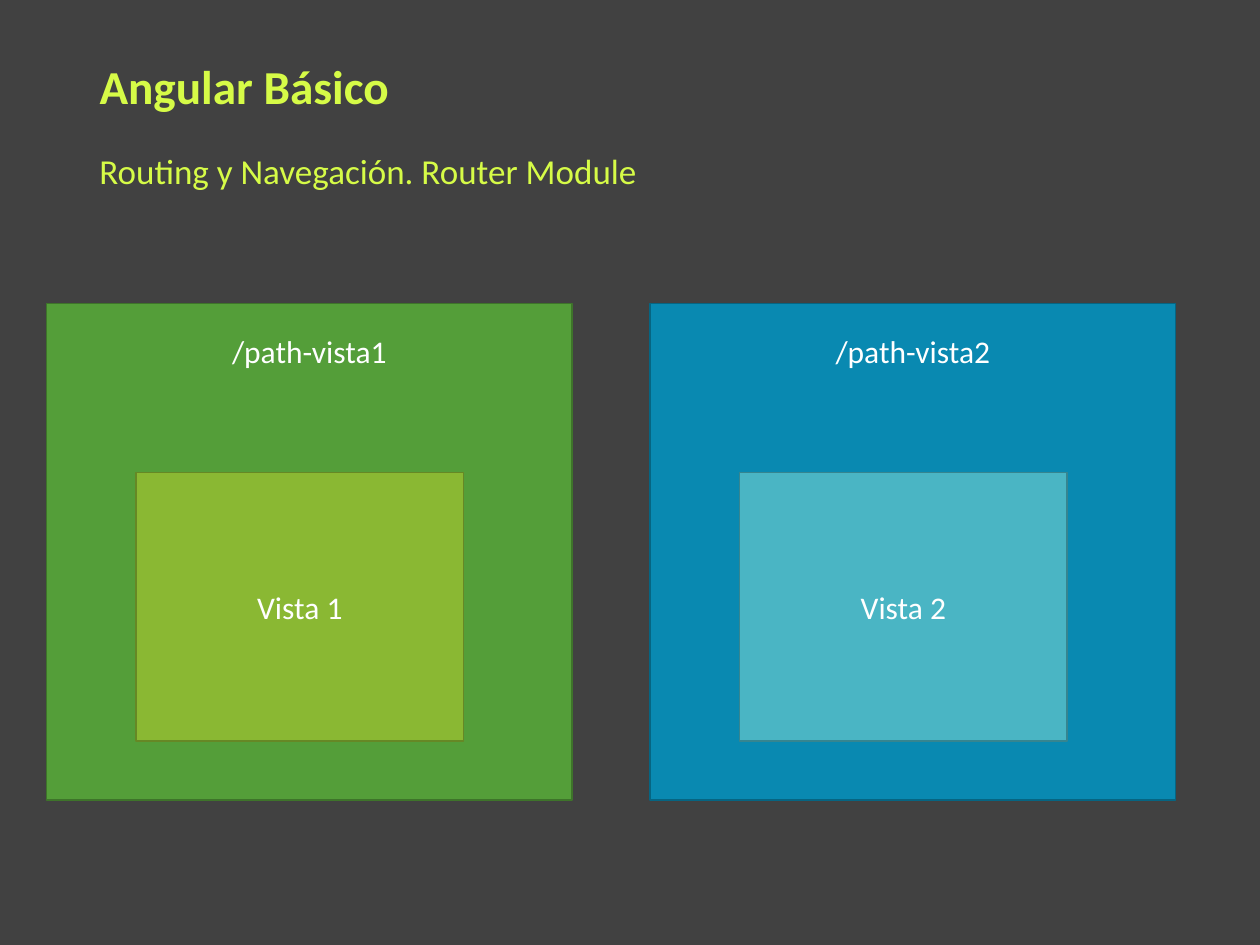
from pptx import Presentation
from pptx.dml.color import RGBColor
from pptx.enum.shapes import MSO_SHAPE
from pptx.enum.text import MSO_ANCHOR, MSO_AUTO_SIZE, PP_ALIGN
from pptx.util import Inches, Pt


def color(hex_value):
    return RGBColor.from_string(hex_value)


class SlideBuilder:
    FONT = "Calibri"
    BACKGROUND = "414141"
    ACCENT = "D6FB47"
    WHITE = "FFFFFF"

    def __init__(self, slide):
        self.slide = slide
        fill = slide.background.fill
        fill.solid()
        fill.fore_color.rgb = color(self.BACKGROUND)

    def set_text(self, shape, text, size, hex_value, align, bold=False, wrap=True):
        text_frame = shape.text_frame
        text_frame.text = text
        text_frame.word_wrap = wrap
        text_frame.auto_size = MSO_AUTO_SIZE.NONE
        text_frame.vertical_anchor = MSO_ANCHOR.MIDDLE
        paragraph = text_frame.paragraphs[0]
        paragraph.alignment = align
        font = paragraph.runs[0].font
        font.name = self.FONT
        font.size = Pt(size)
        font.bold = bold
        font.color.rgb = color(hex_value)
        return paragraph

    def title(self, text, left, top, width, height):
        title = self.slide.shapes.title
        title.left, title.top = Inches(left), Inches(top)
        title.width, title.height = Inches(width), Inches(height)
        self.set_text(title, text, 27, self.ACCENT, PP_ALIGN.LEFT, bold=True)

    def subtitle(self, text, left, top, width, height):
        box = self.slide.shapes.add_textbox(
            Inches(left), Inches(top), Inches(width), Inches(height))
        paragraph = self.set_text(box, text, 20, self.ACCENT, PP_ALIGN.LEFT)
        paragraph.space_before = Pt(7.5)

    def rectangle(self, group, left, top, width, height, fill, line):
        shape = group.shapes.add_shape(
            MSO_SHAPE.RECTANGLE,
            Inches(left), Inches(top), Inches(width), Inches(height))
        shape.shadow.inherit = False
        shape.fill.solid()
        shape.fill.fore_color.rgb = color(fill)
        shape.line.color.rgb = color(line)
        shape.line.width = Pt(1)
        return shape

    def label(self, group, text, left, top, width, height):
        box = group.shapes.add_textbox(
            Inches(left), Inches(top), Inches(width), Inches(height))
        self.set_text(box, text, 18, self.WHITE, PP_ALIGN.CENTER, wrap=False)
        text_frame = box.text_frame
        text_frame.margin_left = text_frame.margin_right = Inches(0.08)
        text_frame.margin_top = text_frame.margin_bottom = Inches(0.04)

    def route(self, left, path_text, view_text, outer_colors, inner_colors):
        """A path panel with its view inside, grouped."""
        group = self.slide.shapes.add_group_shape()
        self.rectangle(group, left, 2.41, 4.17, 3.94, *outer_colors)
        view = self.rectangle(group, left + 0.71, 3.75, 2.6, 2.13, *inner_colors)
        self.set_text(view, view_text, 18, self.WHITE, PP_ALIGN.CENTER)
        self.label(group, path_text, left, 2.55, 4.17, 0.47)


def main():
    presentation = Presentation()
    presentation.slide_width = Inches(10)
    presentation.slide_height = Inches(7.5)
    title_only = presentation.slide_layouts[5]
    builder = SlideBuilder(presentation.slides.add_slide(title_only))

    # Headings
    builder.title("Angular Básico", 0.69, 0.4, 7.86, 0.56)
    builder.subtitle("Routing y Navegación. Router Module", 0.69, 1.09, 7.86, 0.53)

    # Routes: (fill, line) of the panel, then of the view
    route_colors = [
        (("549E39", "3E742A"), ("8AB833", "668825")),
        (("0989B1", "066582"), ("4AB5C4", "368590")),
    ]
    for index, (outer_colors, inner_colors) in enumerate(route_colors):
        number = index + 1
        builder.route(0.37 + index * 4.79, f"/path-vista{number}",
                      f"Vista {number}", outer_colors, inner_colors)

    presentation.save("out.pptx")


if __name__ == "__main__":
    main()
